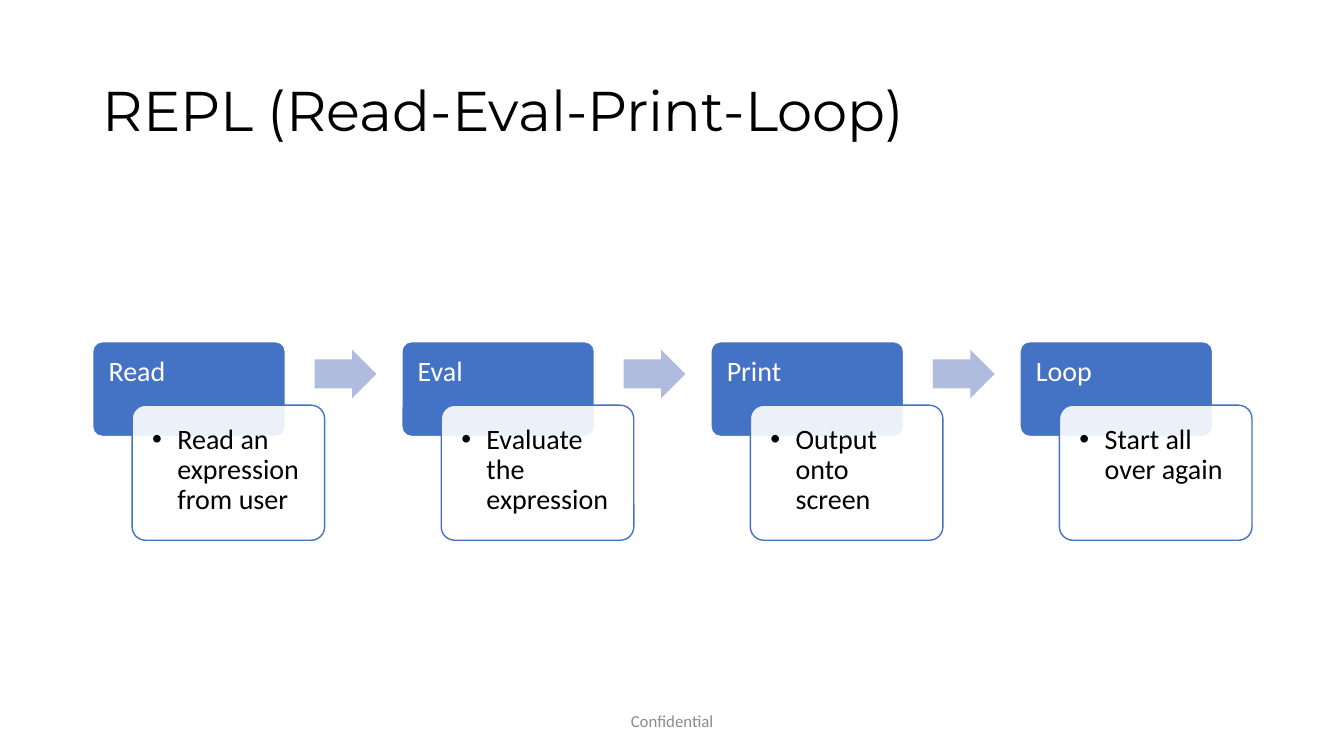
"""Build the REPL slide: four step cards joined by arrows."""
from dataclasses import dataclass
from typing import Any

from lxml.etree import SubElement
from pptx import Presentation
from pptx.dml.color import RGBColor
from pptx.enum.shapes import MSO_SHAPE
from pptx.enum.text import MSO_ANCHOR, PP_ALIGN
from pptx.oxml.ns import qn
from pptx.util import Emu, Inches, Pt


@dataclass(frozen=True)
class Theme:
    heading: str = "Montserrat"
    body: str = "Calibri"
    black: str = "000000"
    white: str = "FFFFFF"
    blue: str = "4472C4"
    pale: str = "B0BCDE"
    grey: str = "8C8C8C"
    title_size: int = 40
    card_size: int = 20
    footer_size: int = 12


@dataclass(frozen=True)
class Box:
    left: float
    top: float
    width: float
    height: float

    def column(self, i: int) -> "Box":
        return Box(self.left + i * PITCH, self.top, self.width, self.height)


@dataclass(frozen=True)
class Step:
    name: str
    detail: str


THEME = Theme()
WIDTH, HEIGHT = Inches(13.33), Inches(7.5)
PITCH = 23
TITLE = Box(6.9, 5.33, 86.25, 19.33)
HEAD = Box(6.9, 45.2, 14.33, 12.53)
DETAIL = Box(9.83, 53.6, 14.33, 17.87)
ARROW = Box(23.4, 46.27, 4.6, 6.4)
FOOTER = Box(33.13, 92.67, 33.75, 5.33)
STEPS = [
    Step("Read", "Read an expression from user"),
    Step("Eval", "Evaluate the expression"),
    Step("Print", "Output onto screen"),
    Step("Loop", "Start all over again"),
]


def apply(target: Any, values: dict[str, Any]) -> None:
    for name, value in values.items():
        setattr(target, name, value)


def place(box: Box) -> dict[str, Emu]:
    return {
        "left": Emu(round(WIDTH * box.left / 100)),
        "top": Emu(round(HEIGHT * box.top / 100)),
        "width": Emu(round(WIDTH * box.width / 100)),
        "height": Emu(round(HEIGHT * box.height / 100)),
    }


def write(s: Any, text: str, size: int, color: str, font: str = THEME.body,
          align: PP_ALIGN = PP_ALIGN.LEFT, anchor: MSO_ANCHOR = MSO_ANCHOR.TOP,
          spacing: float = 0.9, inset: float | None = None, bullet: bool = False) -> None:
    tf = s.text_frame
    apply(tf, {"word_wrap": True, "vertical_anchor": anchor})
    if inset is not None:
        sides = ("margin_left", "margin_top", "margin_right", "margin_bottom")
        apply(tf, dict.fromkeys(sides, Inches(inset)))
    p = tf.paragraphs[0]
    apply(p, {"alignment": align, "line_spacing": spacing})
    if bullet:
        pPr = p._p.get_or_add_pPr()
        pPr.set("marL", str(Inches(0.25)))
        pPr.set("indent", str(-Inches(0.25)))
        SubElement(pPr, qn("a:buFont"), typeface="Arial")
        SubElement(pPr, qn("a:buChar"), char="•")
    r = p.add_run()
    r.text = text
    apply(r.font, {"name": font, "size": Pt(size)})
    r.font.color.rgb = RGBColor.from_string(color)


def add_block(shapes: Any, kind: MSO_SHAPE, box: Box, fill: str, adjust: list[float],
              line: str | None = None, opacity: int = 100) -> Any:
    s = shapes.add_shape(kind, **place(box))
    s.shadow.inherit = False
    for i, value in enumerate(adjust):
        s.adjustments[i] = value
    s.fill.solid()
    s.fill.fore_color.rgb = RGBColor.from_string(fill)
    if opacity < 100:
        color = s._element.spPr.find(qn("a:solidFill"))[0]
        SubElement(color, qn("a:alpha"), val=str(opacity * 1000))
    if line:
        s.line.color.rgb = RGBColor.from_string(line)
        s.line.width = Pt(1)
    else:
        s.line.fill.background()
    return s


def add_step(shapes: Any, i: int, step: Step) -> None:
    rounded = MSO_SHAPE.ROUNDED_RECTANGLE
    head = add_block(shapes, rounded, HEAD.column(i), THEME.blue, [0.1], THEME.white)
    write(head, step.name, THEME.card_size, THEME.white, inset=0.13)
    detail = add_block(shapes, rounded, DETAIL.column(i), THEME.white, [0.1], THEME.blue, 90)
    write(detail, step.detail, THEME.card_size, THEME.black, inset=0.16, bullet=True)
    if i < len(STEPS) - 1:
        add_block(shapes, MSO_SHAPE.RIGHT_ARROW, ARROW.column(i), THEME.pale, [0.6, 0.5])


def main() -> None:
    prs = Presentation()
    apply(prs, {"slide_width": WIDTH, "slide_height": HEIGHT})
    shapes = prs.slides.add_slide(prs.slide_layouts[5]).shapes
    apply(shapes.title, place(TITLE))
    write(shapes.title, "REPL (Read-Eval-Print-Loop)", THEME.title_size, THEME.black,
          THEME.heading, anchor=MSO_ANCHOR.MIDDLE)
    for i, step in enumerate(STEPS):
        add_step(shapes, i, step)
    footer = shapes.add_textbox(**place(FOOTER))
    write(footer, "Confidential", THEME.footer_size, THEME.grey,
          align=PP_ALIGN.CENTER, anchor=MSO_ANCHOR.MIDDLE, spacing=1.0)
    prs.save("out.pptx")


if __name__ == "__main__":
    main()
